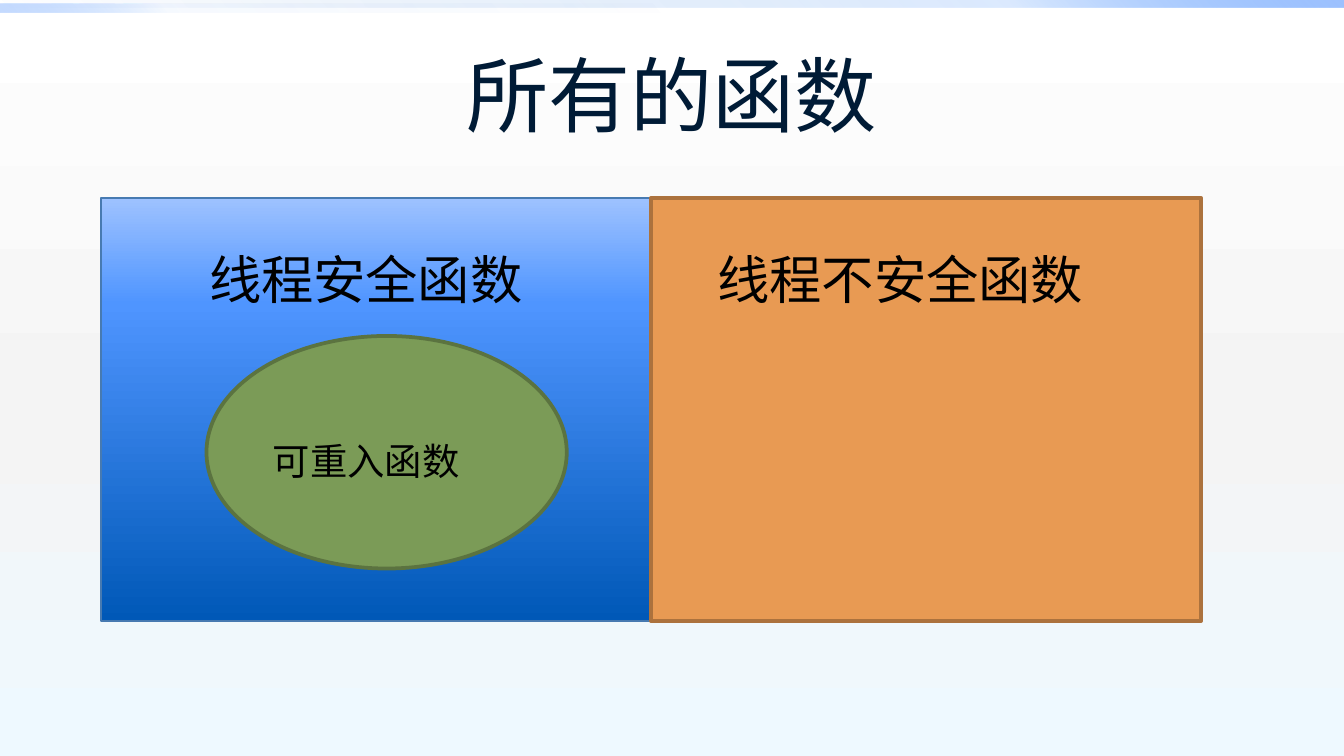
from lxml import etree
from pptx import Presentation
from pptx.dml.color import RGBColor
from pptx.enum import shapes, text
from pptx.oxml.ns import qn
from pptx.util import Pt

BLUES = ("0058B7", "4F95FF", "9EC2FF")


def color(code):
    return RGBColor.from_string(code)


class Deck:
    """Holds the style and the current slide."""

    head = "Calibri"
    body = "Cambria"
    ink = "000000"

    def __init__(self, show):
        self.slide = show.slides.add_slide(show.slide_layouts[5])

    def blend(self, fill, owner, stops, angle):
        fill.gradient()
        grad = owner.element.find(".//" + qn("a:gradFill"))
        for child in list(grad):
            grad.remove(child)
        row = etree.SubElement(grad, qn("a:gsLst"))
        for spot, code, alpha in stops:
            stop = etree.SubElement(row, qn("a:gs"), pos=str(spot * 1000))
            tint = etree.SubElement(stop, qn("a:srgbClr"), val=code)
            if alpha < 100:
                etree.SubElement(tint, qn("a:alpha"), val=str(alpha * 1000))
        etree.SubElement(grad, qn("a:lin"), ang=str(angle * 60000), scaled="0")

    def back(self, stops, angle):
        self.blend(self.slide.background.fill, self.slide, stops, angle)

    def shape(self, kind, box, fill=None, line=None, width=1):
        item = self.slide.shapes.add_shape(kind, *map(Pt, box))
        item.shadow.inherit = False
        if fill:
            item.fill.solid()
            item.fill.fore_color.rgb = color(fill)
        if line:
            item.line.color.rgb = color(line)
            item.line.width = Pt(width)
        else:
            item.line.fill.background()
        return item

    def shade(self, box, alphas, angle, line=None):
        item = self.shape(shapes.MSO_SHAPE.RECTANGLE, box, line=line)
        self.blend(item.fill, item, zip((0, 75, 100), BLUES, alphas), angle)

    def style(self, frame, words, name, size, code):
        frame.text = words
        font = frame.paragraphs[0].runs[0].font
        font.name, font.size = name, Pt(size)
        font.color.rgb = color(code)

    def title(self, words, box):
        item = self.slide.shapes.title
        item.left, item.top, item.width, item.height = map(Pt, box)
        frame = item.text_frame
        self.style(frame, words, self.head, 44, "001B36")
        frame.vertical_anchor = text.MSO_ANCHOR.MIDDLE
        frame.paragraphs[0].alignment = text.PP_ALIGN.CENTER

    def label(self, words, box, size):
        frame = self.slide.shapes.add_textbox(*map(Pt, box)).text_frame
        frame.word_wrap = True
        frame.auto_size = text.MSO_AUTO_SIZE.SHAPE_TO_FIT_TEXT
        self.style(frame, words, self.body, size, self.ink)


def main():
    show = Presentation()
    show.slide_width, show.slide_height = Pt(720), Pt(405)
    deck = Deck(show)
    deck.back([(0, "FFFFFF", 100), (55, "F4F4F4", 100), (100, "EEF9FF", 100)], 90)
    deck.shade((0, 0, 720, 4.3), (0, 20, 100), 315)
    deck.shade((0, 2.2, 360, 4.3), (0, 5, 60), 135)
    deck.title("所有的函数", (36, 16.5, 648, 67.5))

    left, top, wide, high = 54, 106, 294.75, 226.8
    deck.shade((left, top, wide, high), (100, 100, 100), 270, "477AB1")
    deck.shape(shapes.MSO_SHAPE.RECTANGLE, (left + wide, top, wide, high),
               "E89A53", "AC723D", 2)
    deck.shape(shapes.MSO_SHAPE.OVAL, (110.6, 180, 193, 124.6),
               "7B9B57", "5B7340", 2)

    deck.label("线程不安全函数", (377.3, 129, 255, 41.2), 28)
    deck.label("可重入函数", (139, 231, 142, 31.5), 20)
    deck.label("线程安全函数", (105, 129, 215.3, 41.2), 28)
    show.save("out.pptx")


if __name__ == "__main__":
    main()
